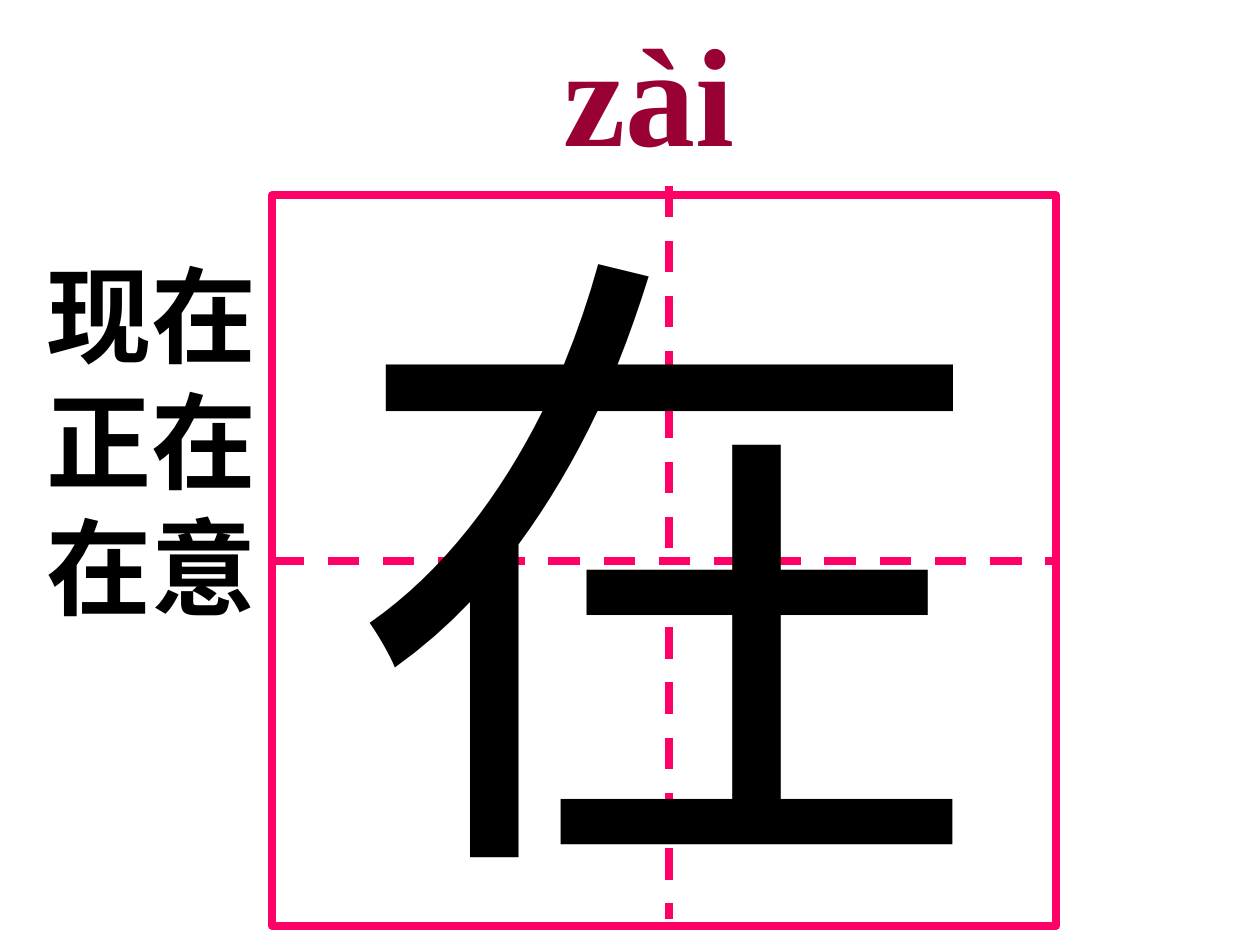
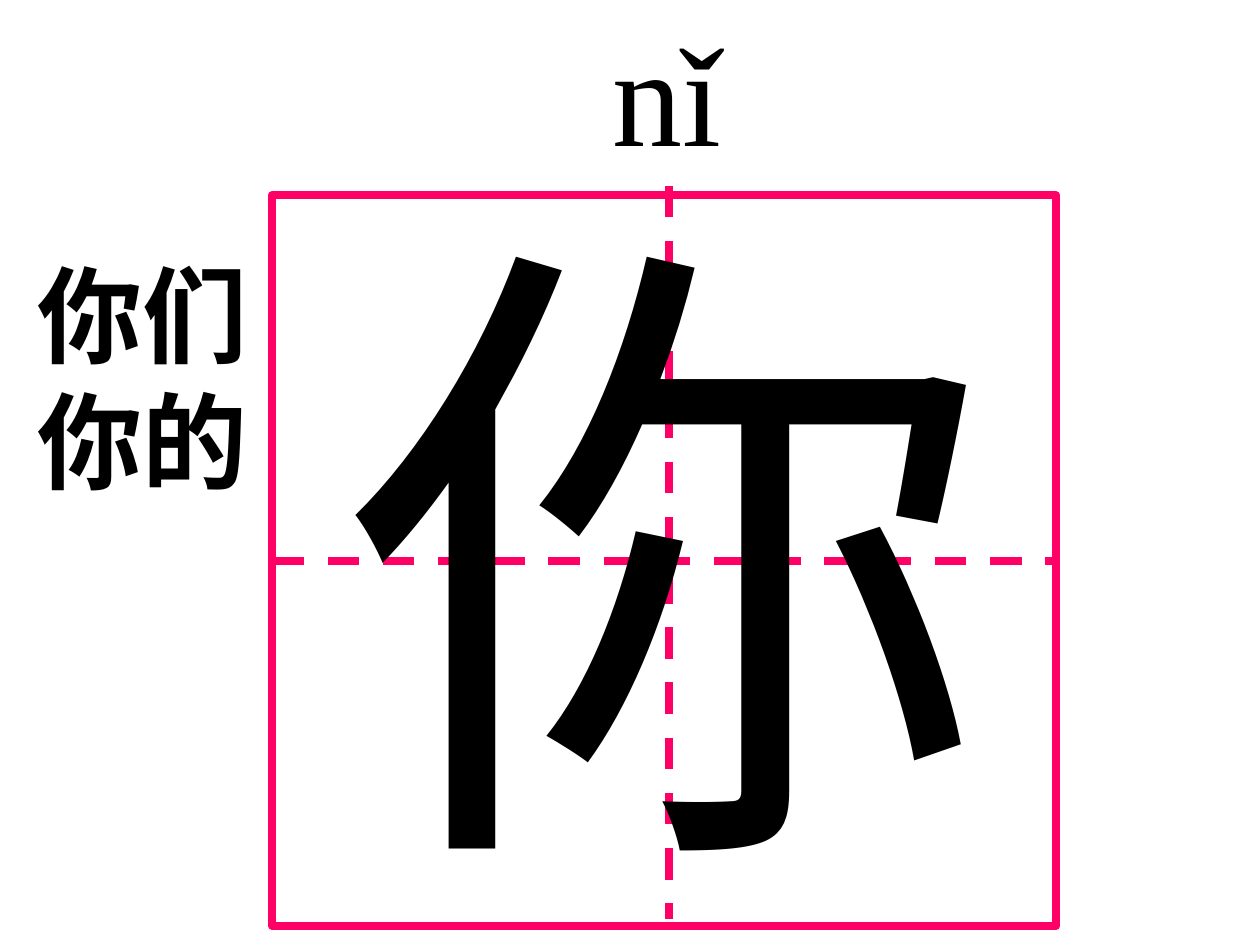
from dataclasses import dataclass

import pptx
import pptx.dml.color
import pptx.enum.dml
import pptx.enum.lang
import pptx.enum.shapes
import pptx.enum.text
import pptx.oxml
import pptx.util
from pptx.util import Cm

COLORS = {"grid": "FF0066", "accent": "990033", "ink": "000000"}
SERIF = "Times New Roman"
SANS = "Arial"
GRID_BOX = (5.49, 3.94, 15.8, 14.73)
GRID_WEIGHT = 4.5


@dataclass
class Card:
    pinyin: str
    pinyin_box: tuple
    pinyin_color: str
    pinyin_bold: bool
    character: str
    character_box: tuple
    words: str
    words_box: tuple


CARDS = [
    Card("zài", (11.1, 0, 8.2, 3.66), "accent", True,
         "在", (6.71, 3.12, 13.06, 15.93),
         "现在正在在意", (0.69, 4.93, 5.21, 7.87)),
    Card("nǐ", (12.09, 0, 6.05, 3.66), "ink", False,
         "你", (6.71, 2.92, 13.06, 15.93),
         "你们你的", (0.51, 4.93, 5.21, 5.33)),
]


def rgb(name):
    return pptx.dml.color.RGBColor.from_string(COLORS[name])


def write_text(shape, box, text, size, font_name, color="ink", bold=False, chinese=False):
    shape.left, shape.top, shape.width, shape.height = map(Cm, box)
    frame = shape.text_frame
    frame.word_wrap = True
    frame.auto_size = pptx.enum.text.MSO_AUTO_SIZE.NONE
    frame.vertical_anchor = pptx.enum.text.MSO_ANCHOR.TOP
    paragraph = frame.paragraphs[0]
    paragraph.alignment = pptx.enum.text.PP_ALIGN.LEFT
    paragraph.space_before = pptx.util.Pt(0)
    run = paragraph.add_run()
    run.text = text
    run.font.name = font_name
    run.font.size = pptx.util.Pt(size)
    run.font.bold = bold
    run.font.color.rgb = rgb(color)
    if chinese:
        run.font.language_id = pptx.enum.lang.MSO_LANGUAGE_ID.SIMPLIFIED_CHINESE


def remove_bullet(paragraph):
    properties = paragraph._p.get_or_add_pPr()
    properties.set("marL", "0")
    properties.set("indent", "0")
    properties.append(pptx.oxml.parse_xml(
        '<a:buNone xmlns:a="http://schemas.openxmlformats.org/drawingml/2006/main"/>'))


def style_grid_line(line):
    line.color.rgb = rgb("grid")
    line.width = pptx.util.Pt(GRID_WEIGHT)


def add_guide(slide, start, end):
    guide = slide.shapes.add_connector(
        pptx.enum.shapes.MSO_CONNECTOR.STRAIGHT, *map(Cm, start + end))
    style_grid_line(guide.line)
    guide.line.dash_style = pptx.enum.dml.MSO_LINE.DASH
    guide._element.spPr.append(pptx.oxml.parse_xml(
        '<a:effectLst xmlns:a="http://schemas.openxmlformats.org/drawingml/2006/main"/>'))
    return guide


def add_writing_grid(slide, box):
    left, top, width, height = box
    square = slide.shapes.add_shape(
        pptx.enum.shapes.MSO_SHAPE.RECTANGLE, *map(Cm, box))
    square.shadow.inherit = False
    square.fill.background()
    style_grid_line(square.line)
    middle = top + height / 2
    across = add_guide(slide, (left, middle), (left + width, middle))
    across.begin_connect(square, 1)
    across.end_connect(square, 3)
    center = left + width / 2 + 0.1
    add_guide(slide, (center, top - 0.2), (center, top + height - 0.15))


def add_card_slide(presentation, card):
    slide = presentation.slides.add_slide(presentation.slide_layouts[1])
    write_text(slide.shapes.title, card.pinyin_box, card.pinyin, 80, SERIF,
               card.pinyin_color, card.pinyin_bold)
    add_writing_grid(slide, GRID_BOX)
    character = slide.shapes.add_textbox(*map(Cm, card.character_box))
    write_text(character, card.character_box, card.character, 370, SERIF, chinese=True)
    words = slide.placeholders[1]
    remove_bullet(words.text_frame.paragraphs[0])
    write_text(words, card.words_box, card.words, 60, SANS, bold=True, chinese=True)


def main():
    presentation = pptx.Presentation()
    presentation.slide_width = Cm(25.4)
    presentation.slide_height = Cm(19.05)
    for card in CARDS:
        add_card_slide(presentation, card)
    presentation.save("out.pptx")


if __name__ == "__main__":
    main()
